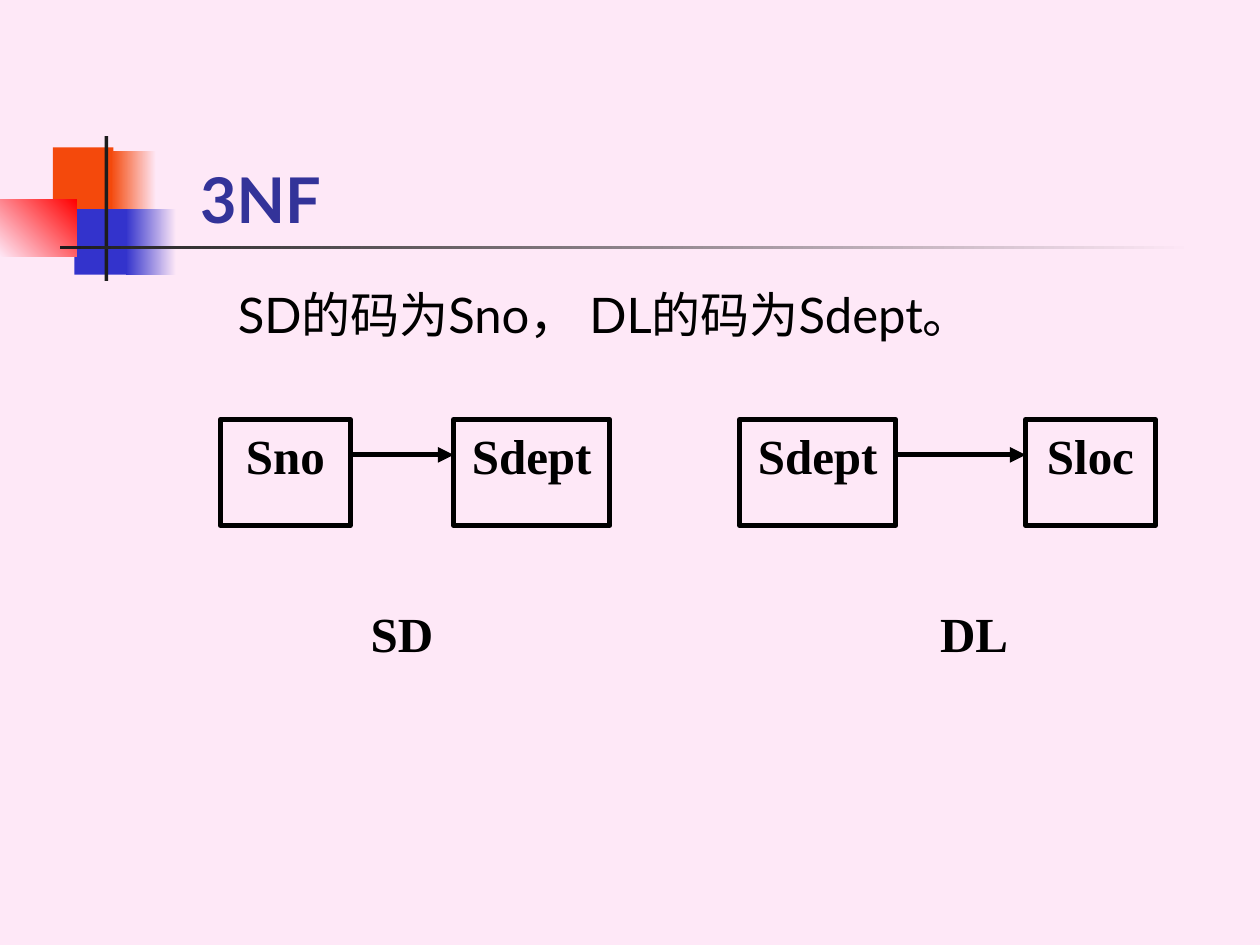
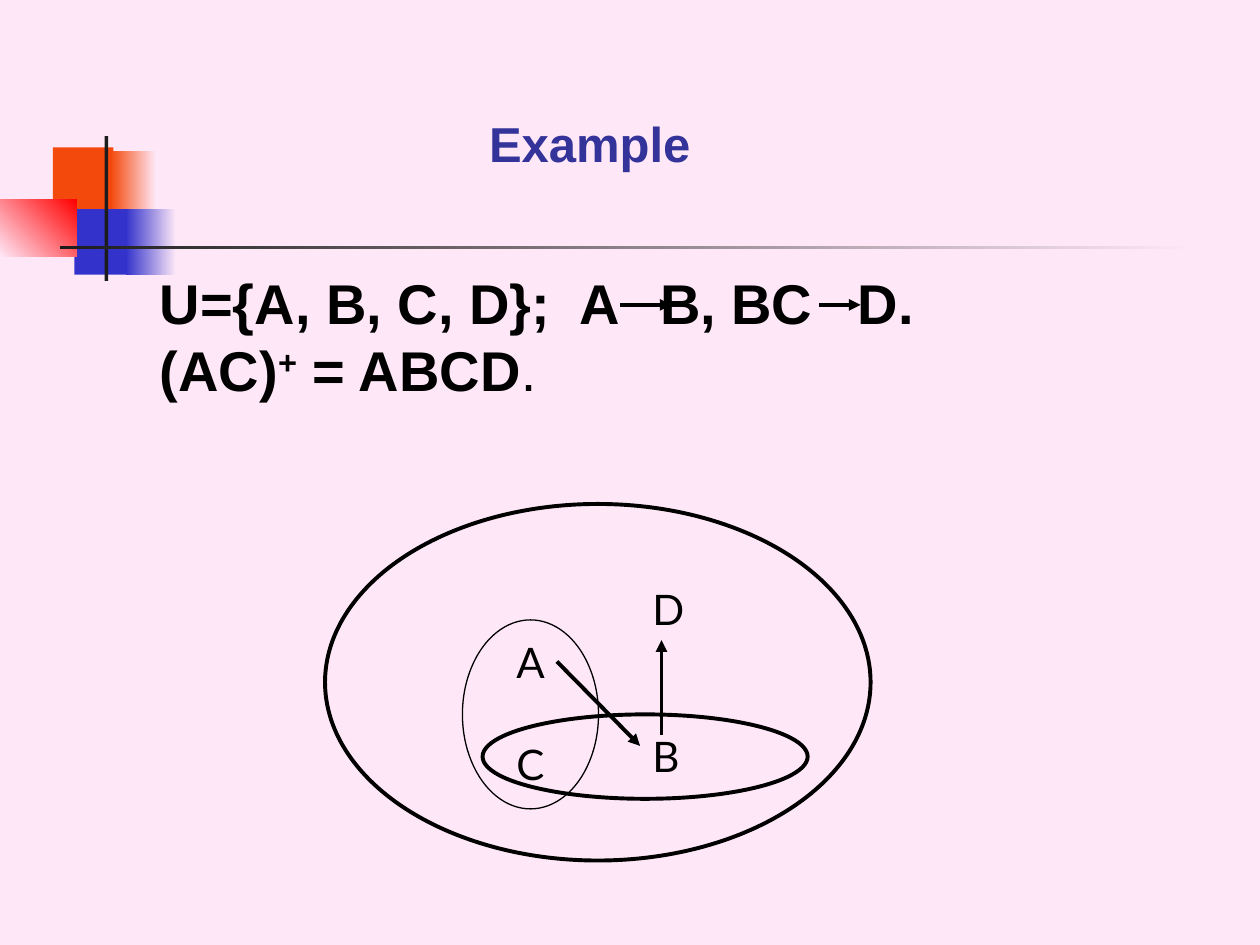
from lxml import etree
from pptx import Presentation
from pptx.dml.color import RGBColor
from pptx.enum.shapes import MSO_CONNECTOR, MSO_SHAPE
from pptx.enum.text import MSO_ANCHOR, PP_ALIGN
from pptx.oxml.ns import qn
from pptx.util import Inches, Pt

RECTANGLE, ELLIPSE = MSO_SHAPE.RECTANGLE, MSO_SHAPE.OVAL
STRAIGHT = MSO_CONNECTOR.STRAIGHT
TOP, MIDDLE, BOTTOM = MSO_ANCHOR.TOP, MSO_ANCHOR.MIDDLE, MSO_ANCHOR.BOTTOM
LEFT, CENTER = PP_ALIGN.LEFT, PP_ALIGN.CENTER

PINK = RGBColor(0xFE, 0xE8, 0xF7)
ORANGE = RGBColor(0xF4, 0x49, 0x0C)
BLUE = RGBColor(0x33, 0x33, 0xCC)
RED = RGBColor(0xFF, 0x00, 0x00)
CHARCOAL = RGBColor(0x1C, 0x1C, 0x1C)
TITLE_BLUE = RGBColor(0x33, 0x33, 0x99)
BLACK = RGBColor(0x00, 0x00, 0x00)

LATO, ARIAL, TIMES = "Lato", "Arial", "Times New Roman"


def add_run(paragraph, text, font, size, color=BLACK, bold=False, baseline=0):
    run = paragraph.add_run()
    run.text = text
    run.font.name, run.font.size = font, Pt(size)
    run.font.color.rgb, run.font.bold = color, bold
    if baseline:
        run.font._element.set("baseline", str(baseline * 1000))


def set_indent(paragraph, margin, first_line=0):
    properties = paragraph._p.get_or_add_pPr()
    properties.set("marL", str(Inches(margin)))
    properties.set("indent", str(Inches(first_line)))


def set_tabs(paragraph, positions):
    tabs = etree.SubElement(paragraph._p.get_or_add_pPr(), qn("a:tabLst"))
    for position in positions:
        etree.SubElement(tabs, qn("a:tab"), pos=str(Inches(position)), algn="l")


def add_text_box(slide, left, top, width, height, anchor=TOP, align=LEFT, wrap=True):
    """Add a text box and return its first paragraph and its frame."""
    box = slide.shapes.add_textbox(*map(Inches, (left, top, width, height)))
    frame = box.text_frame
    frame.word_wrap, frame.vertical_anchor = wrap, anchor
    paragraph = frame.paragraphs[0]
    paragraph.alignment = align
    return paragraph, frame


def add_block(slide, left, top, width, height, color, fade_to=None, angle=180):
    """Add a rectangle without outline, plain or fading from color to fade_to."""
    block = slide.shapes.add_shape(RECTANGLE, *map(Inches, (left, top, width, height)))
    block.shadow.inherit = False
    block.line.fill.background()
    if fade_to is None:
        block.fill.solid()
        block.fill.fore_color.rgb = color
        return
    block.fill.gradient()
    block.fill.gradient_angle = angle
    for stop, stop_color in zip(block.fill.gradient_stops, (color, fade_to)):
        stop.color.rgb = stop_color


def add_outline(slide, kind, left, top, width, height, weight):
    outline = slide.shapes.add_shape(kind, *map(Inches, (left, top, width, height)))
    outline.shadow.inherit = False
    outline.fill.background()
    outline.line.color.rgb, outline.line.width = BLACK, Pt(weight)
    return outline


def add_arrow(slide, start, end, weight=2.25):
    arrow = slide.shapes.add_connector(STRAIGHT, *map(Inches, (*start, *end)))
    arrow.line.color.rgb, arrow.line.width = BLACK, Pt(weight)
    etree.SubElement(arrow.line._get_or_add_ln(), qn("a:tailEnd"), type="triangle")
    etree.SubElement(arrow._element.spPr, qn("a:effectLst"))


def add_decorated_slide(prs):
    """Add a slide with the coloured squares and the fading rule."""
    slide = prs.slides.add_slide(prs.slide_layouts[6])
    add_block(slide, 0.42, 1.17, 0.48, 0.52, ORANGE)
    add_block(slide, 0.88, 1.2, 0.36, 0.52, PINK, ORANGE)
    add_block(slide, 0.59, 1.66, 0.46, 0.52, BLUE)
    add_block(slide, 1, 1.66, 0.4, 0.52, PINK, BLUE)
    add_block(slide, 0, 1.58, 0.61, 0.46, RED, PINK, angle=225)
    add_block(slide, 0.83, 1.08, 0.03, 1.15, CHARCOAL)
    add_block(slide, 0.48, 1.95, 9, 0.03, PINK, CHARCOAL)
    return slide


def add_title(slide, text, box, font, size, align=LEFT, margin=0):
    paragraph, _ = add_text_box(slide, *box, anchor=BOTTOM, align=align)
    set_indent(paragraph, margin)
    add_run(paragraph, text, font, size, TITLE_BLUE, bold=True)


def add_relation(slide, left, top, determinant, gap, dependent, caption):
    """Draw determinant -> dependent, each a (name, width) pair, with a caption."""
    height, caption_width = 0.84, 0.82
    arrow_start = left + determinant[1]
    arrow_end = arrow_start + gap
    for (name, width), box_left in ((determinant, left), (dependent, arrow_end)):
        attribute = add_outline(slide, RECTANGLE, box_left, top, width, height, 3)
        attribute.text_frame.vertical_anchor = TOP
        paragraph = attribute.text_frame.paragraphs[0]
        paragraph.alignment = CENTER
        add_run(paragraph, name, TIMES, 28, bold=True)
    arrow_y = top + height / 3
    add_arrow(slide, (arrow_start, arrow_y), (arrow_end, arrow_y), 3)
    paragraph, _ = add_text_box(slide, arrow_end - caption_width, top + 1.41,
                                caption_width, height, align=CENTER)
    add_run(paragraph, caption, TIMES, 28, bold=True)


def add_closure_formula(slide, left, top, width, height):
    dependencies, frame = add_text_box(slide, left, top, width, height, anchor=MIDDLE)
    set_tabs(dependencies, (3.33, 3.97, 5.54))
    add_run(dependencies, "U={A, B, C, D};\tA\tB, BC\tD.", ARIAL, 32, bold=True)
    closure = frame.add_paragraph()
    add_run(closure, "(AC)", ARIAL, 32, bold=True)
    add_run(closure, "+", ARIAL, 32, bold=True, baseline=30)
    add_run(closure, " = ABCD", ARIAL, 32, bold=True)
    add_run(closure, ".", ARIAL, 32)
    arrow_y = top + 0.34
    for start, end in ((3.75, 4.16), (5.33, 5.66)):
        add_arrow(slide, (left + start, arrow_y), (left + end, arrow_y))


def add_closure_diagram(slide, left, top):
    for x, y, width, height, weight in (
        (0, 0, 4.33, 2.83, 2.25),
        (1.09, 0.92, 1.08, 1.5, 0.75),
        (1.25, 1.67, 2.58, 0.67, 2.25),
    ):
        add_outline(slide, ELLIPSE, left + x, top + y, width, height, weight)
    for name, x, y in (("A", 1.42, 1), ("C", 1.42, 1.81), ("D", 2.5, 0.58), ("B", 2.5, 1.75)):
        paragraph, _ = add_text_box(slide, left + x, top + y, 0.42, 0.5, wrap=False)
        add_run(paragraph, name, LATO, 24)
    for (x1, y1), (x2, y2) in (((1.84, 1.25), (2.5, 1.92)), ((2.67, 1.83), (2.67, 1.08))):
        add_arrow(slide, (left + x1, top + y1), (left + x2, top + y2))


def build_third_normal_form(prs):
    slide = add_decorated_slide(prs)
    add_title(slide, "3NF", (1.26, 0.67, 8.52, 1.25), LATO, 36, margin=0.23)
    keys, _ = add_text_box(slide, 1.29, 2.21, 8.5, 4.5)
    keys.space_before = Pt(7)
    set_indent(keys, 0.81, -0.31)
    add_run(keys, "SD的码为Sno， DL的码为Sdept。", LATO, 28)
    add_relation(slide, 1.75, 3.33, ("Sno", 1.03), 0.82, ("Sdept", 1.24), "SD")
    add_relation(slide, 5.87, 3.33, ("Sdept", 1.24), 1.03, ("Sloc", 1.03), "DL")


def build_closure_example(prs):
    slide = add_decorated_slide(prs)
    add_title(slide, "Example", (0.42, 0.5, 8.52, 0.92), ARIAL, 28, align=CENTER)
    add_closure_diagram(slide, 2.58, 4)
    add_closure_formula(slide, 1.17, 2.08, 8.33, 1.17)


def main():
    prs = Presentation()
    prs.slide_width, prs.slide_height = Inches(10), Inches(7.5)
    background = prs.slide_master.background.fill
    background.solid()
    background.fore_color.rgb = PINK
    build_third_normal_form(prs)
    build_closure_example(prs)
    prs.save("out.pptx")


if __name__ == "__main__":
    main()
